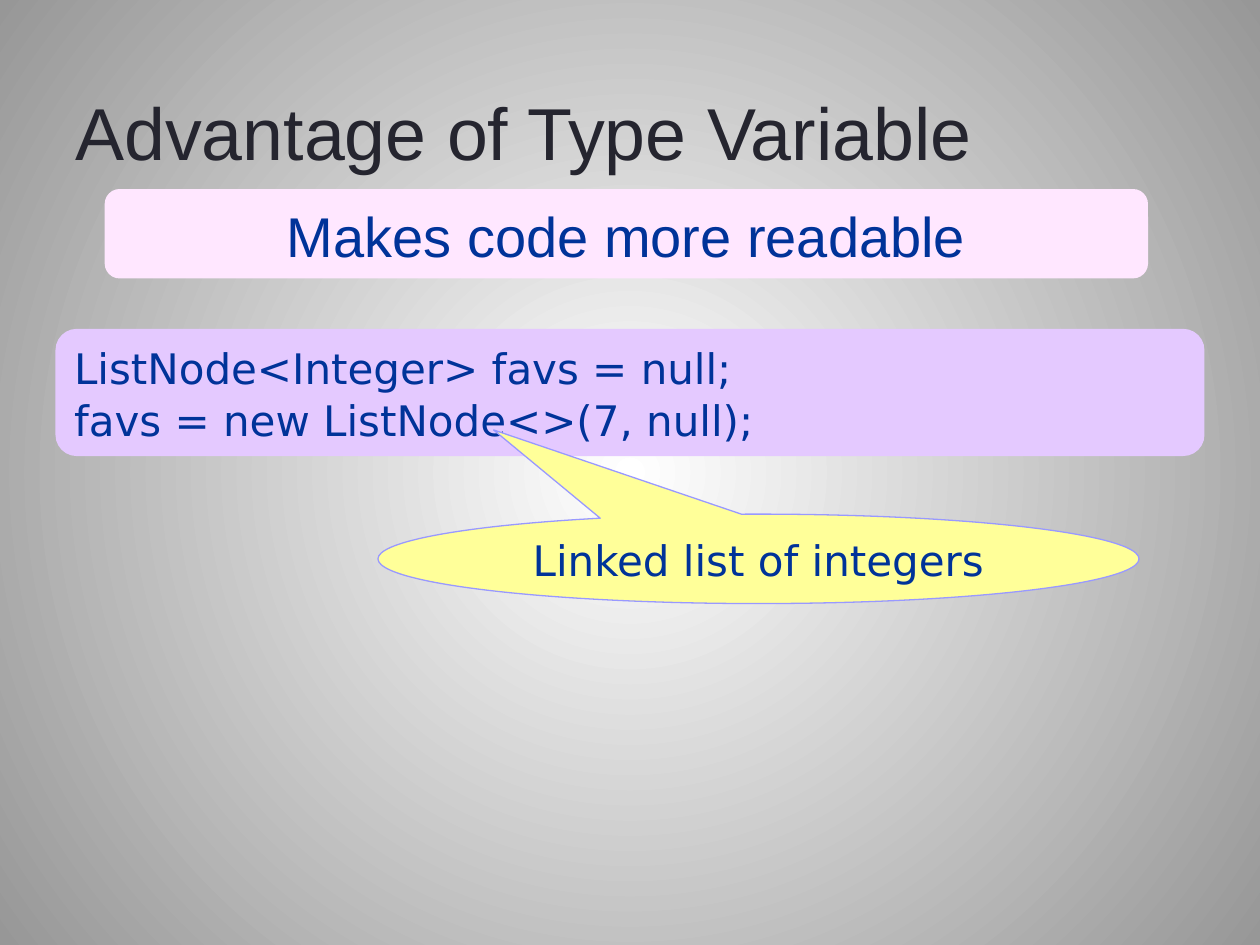
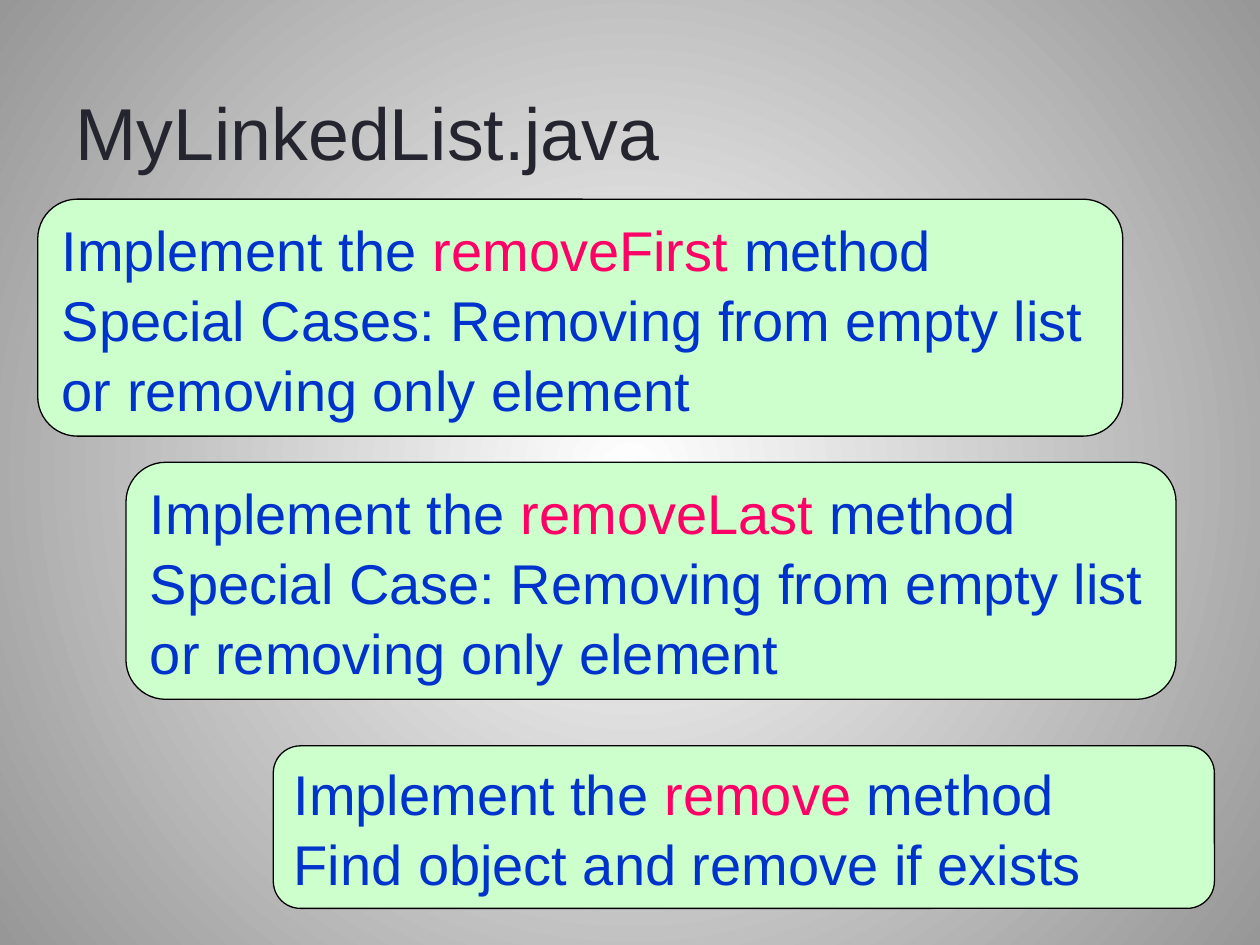
from lxml import etree
from pptx import Presentation
from pptx.dml.color import RGBColor
from pptx.enum.shapes import MSO_SHAPE
from pptx.enum.text import MSO_ANCHOR, PP_ALIGN
from pptx.oxml.ns import qn
from pptx.util import Pt

NAVY, BLUE, PINK, INK = "003399", "0033CC", "FF0066", "25252F"
TITLE = {"name": "Arial", "size": Pt(42)}
BODY = {"name": "Arial", "size": Pt(32)}
CODE = {"name": "DejaVu Sans", "size": Pt(24)}


def rgb(value):
    """Turn a hex string into a colour."""
    return RGBColor.from_string(value)


def set_background(master):
    """Give the master a radial gradient from white to grey."""
    fill = master.background.fill
    fill.gradient()
    for stop, color, pos in zip(fill.gradient_stops, ("FFFFFF", "979797"), (0, 1)):
        stop.color.rgb = rgb(color)
        stop.position = pos
    grad = master.element.find(".//" + qn("a:gradFill"))
    grad.remove(grad.find(qn("a:lin")))
    circle = etree.SubElement(grad, qn("a:path"), {"path": "circle"})
    sides = {side: "50000" for side in "ltrb"}
    etree.SubElement(circle, qn("a:fillToRect"), sides)


def write(tf, paragraphs, font, align=PP_ALIGN.LEFT, spacing=1.04):
    """Write paragraphs of (text, colour) runs; a newline breaks the line."""
    tf.word_wrap = True
    tf.vertical_anchor = MSO_ANCHOR.MIDDLE
    for i, runs in enumerate(paragraphs):
        p = tf.paragraphs[0] if i == 0 else tf.add_paragraph()
        p.alignment, p.line_spacing = align, spacing
        for text, color in runs:
            for j, line in enumerate(text.split("\n")):
                if j:
                    p.add_line_break()
                r = p.add_run()
                r.text = line
                r.font.color.rgb = rgb(color)
                for key, value in font.items():
                    setattr(r.font, key, value)


def add_title(s, text, box=(36, 15.1, 635.8, 120.2)):
    """Add the slide title."""
    sp = s.shapes.add_textbox(*map(Pt, box))
    write(sp.text_frame, [[(text, INK)]], TITLE, spacing=1)


def add_panel(s, box, fill, paragraphs, font, line=None, align=PP_ALIGN.LEFT,
              kind=MSO_SHAPE.ROUNDED_RECTANGLE, adj=(0.167,)):
    """Add a filled shape with text."""
    sp = s.shapes.add_shape(kind, *map(Pt, box))
    sp.shadow.inherit = False
    for i, value in enumerate(adj):
        sp.adjustments[i] = value
    sp.fill.solid()
    sp.fill.fore_color.rgb = rgb(fill)
    if line:
        sp.line.color.rgb = rgb(line)
        sp.line.width = Pt(0.75)
    else:
        sp.line.fill.background()
    write(sp.text_frame, paragraphs, font, align)


def add_task(s, box, method, detail):
    """Add a green panel that sets one method as a task."""
    first = [("Implement the ", BLUE), (method, PINK), (" method", BLUE)]
    add_panel(s, box, "CCFFCC", [first, [(detail, BLUE)]], BODY, "000000")


def advantage_slide(s):
    """Build the slide on type variables."""
    code = "ListNode<Integer> favs = null;\nfavs = new ListNode<>(7, null);"
    add_panel(s, (31.7, 187.9, 656.6, 72.7), "E4C9FF", [[(code, NAVY)]], CODE)
    add_title(s, "Advantage of Type Variable")
    add_panel(s, (59.8, 108, 596.2, 51.1), "FFE7FF",
              [[("Makes code more readable", NAVY)]], BODY, align=PP_ALIGN.CENTER)
    add_panel(s, (216, 293.8, 434.9, 51.1), "FFFF99",
              [[("Linked list of integers", NAVY)]], CODE, "9999FF",
              PP_ALIGN.CENTER, MSO_SHAPE.OVAL_CALLOUT, (-0.348, -1.442))


def tasks_slide(s):
    """Build the slide with the three tasks."""
    add_title(s, "MyLinkedList.java")
    ending = "Removing from empty list or removing only element"
    add_task(s, (21.6, 113.8, 620, 135.4), "removeFirst", "Special Cases: " + ending)
    add_task(s, (72, 264.2, 600, 135.4), "removeLast", "Special Case: " + ending)
    add_task(s, (156.2, 426.2, 537.8, 92.9), "remove", "Find object and remove if exists")


prs = Presentation()
prs.slide_width, prs.slide_height = Pt(720), Pt(540)
set_background(prs.slide_master)
for build in (advantage_slide, tasks_slide):
    build(prs.slides.add_slide(prs.slide_layouts[6]))
prs.save("out.pptx")
